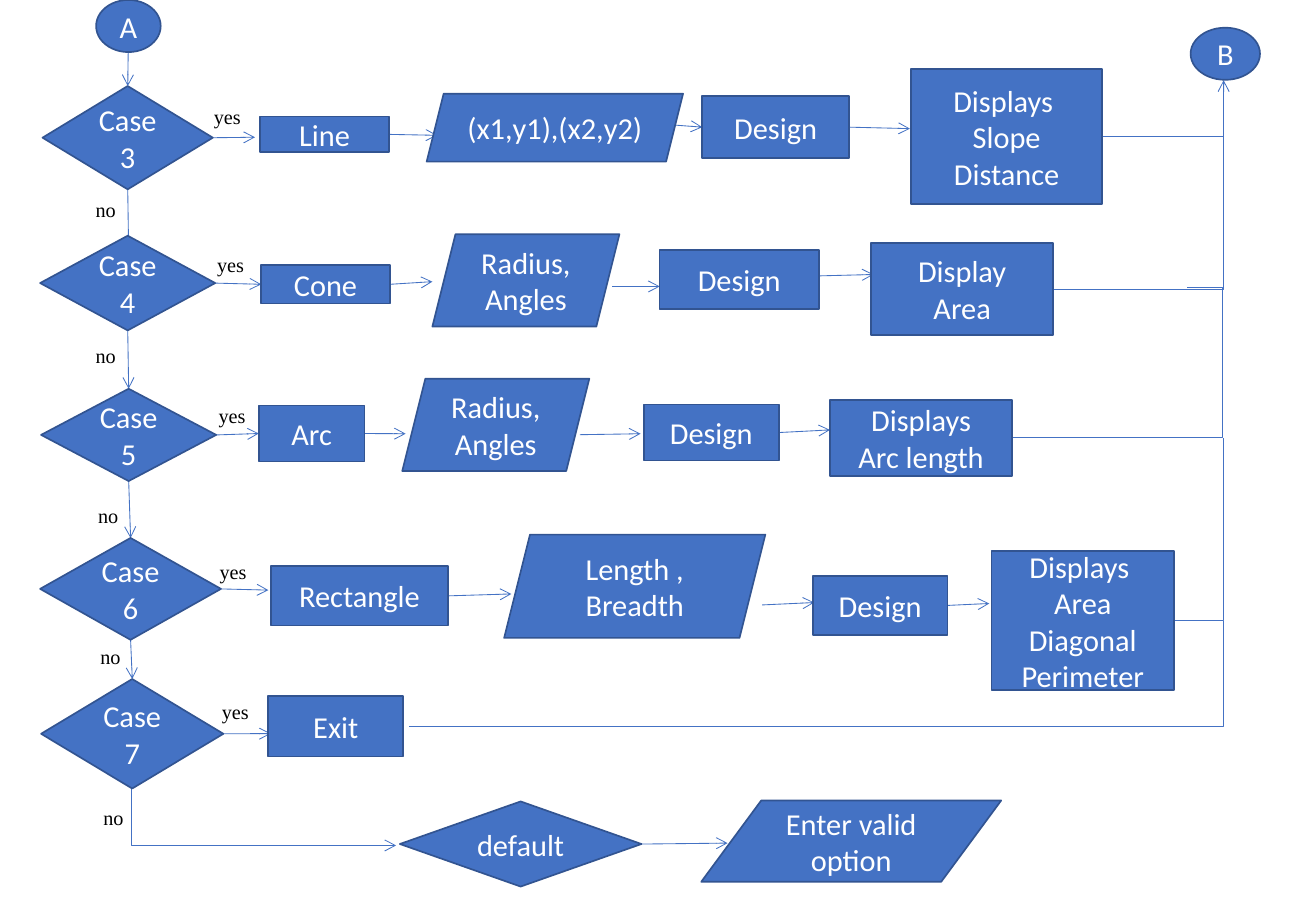
"""Build the second part of a flowchart for a menu of geometric shapes."""
import enum
from typing import NamedTuple, Optional, Union

import lxml.etree
import pptx
import pptx.dml.color
import pptx.enum.shapes
import pptx.enum.text
import pptx.oxml.ns
import pptx.shapes.autoshape
import pptx.slide
import pptx.text.text
import pptx.util

Cm = pptx.util.Cm
Kind = pptx.enum.shapes.MSO_AUTO_SHAPE_TYPE
Connector = pptx.enum.shapes.MSO_CONNECTOR
qn = pptx.oxml.ns.qn
COLORS = {"fill": "4472C4", "outline": "325491", "step": "FFFFFF", "answer": "000000"}


class Side(enum.IntEnum):
    TOP = 0
    LEFT = 1
    BOTTOM = 2
    RIGHT = 3


class Step(NamedTuple):
    kind: Kind
    text: str
    left: float
    top: float
    width: float
    height: float


class Point(NamedTuple):
    x: float
    y: float


class Port(NamedTuple):
    step: str
    side: Side


class Flow(NamedTuple):
    start: Union[Point, Port]
    end: Union[Point, Port]
    arrow: bool = True
    bend: Optional[float] = None


class Answer(NamedTuple):
    text: str
    left: float
    top: float


STEPS = {
    "case 3": Step(Kind.FLOWCHART_DECISION, "Case3", 0.89, 1.8, 3.56, 2.16),
    "line": Step(Kind.RECTANGLE, "Line", 5.44, 2.44, 2.69, 0.74),
    "design 3": Step(Kind.RECTANGLE, "Design", 14.68, 2.01, 3.07, 1.3),
    "display 3": Step(Kind.RECTANGLE, "Displays \vSlope\vDistance", 19.05, 1.45, 3.99, 2.82),
    "case 4": Step(Kind.FLOWCHART_DECISION, "Case 4", 0.84, 4.93, 3.66, 1.98),
    "cone": Step(Kind.RECTANGLE, "Cone", 5.46, 5.54, 2.69, 0.81),
    "design 4": Step(Kind.RECTANGLE, "Design", 13.79, 5.23, 3.33, 1.24),
    "display 4": Step(Kind.RECTANGLE, "Display\nArea", 18.21, 5.08, 3.81, 1.93),
    "case 5": Step(Kind.FLOWCHART_DECISION, "Case 5", 0.86, 8.13, 3.66, 1.93),
    "arc": Step(Kind.RECTANGLE, "Arc", 5.41, 8.48, 2.21, 1.17),
    "design 5": Step(Kind.RECTANGLE, "Design", 13.46, 8.46, 2.82, 1.17),
    "display 5": Step(Kind.RECTANGLE, "Displays\vArc length", 17.35, 8.36, 3.81, 1.6),
    "case 6": Step(Kind.FLOWCHART_DECISION, "Case6", 0.84, 11.25, 3.78, 2.13),
    "rectangle": Step(Kind.RECTANGLE, "Rectangle", 5.66, 11.84, 3.71, 1.24),
    "design 6": Step(Kind.RECTANGLE, "Design", 16.99, 12.04, 2.82, 1.24),
    "display 6": Step(Kind.RECTANGLE, "Displays \nArea\vDiagonal\vPerimeter",
                      20.73, 11.53, 3.81, 2.9),
    "case 7": Step(Kind.FLOWCHART_DECISION, "Case7", 0.86, 14.2, 3.81, 2.29),
    "exit": Step(Kind.RECTANGLE, "Exit", 5.61, 14.55, 2.82, 1.27),
    "input 3": Step(Kind.PARALLELOGRAM, "(x1,y1),(x2,y2)", 8.92, 1.96, 5.36, 1.42),
    "input 4": Step(Kind.PARALLELOGRAM, "Radius, Angles", 9.04, 4.9, 3.91, 1.93),
    "input 5": Step(Kind.PARALLELOGRAM, "Radius, Angles", 8.41, 7.92, 3.91, 1.93),
    "input 6": Step(Kind.PARALLELOGRAM, "Length , Breadth", 10.54, 11.18, 5.46, 2.16),
    "default": Step(Kind.FLOWCHART_DECISION, "default", 8.36, 16.76, 5.05, 1.78),
    "retry": Step(Kind.FLOWCHART_DATA, "Enter valid option", 14.66, 16.74, 6.27, 1.7),
    "entry": Step(Kind.OVAL, "A", 2.01, 0, 1.35, 1.09),
    "exit to": Step(Kind.OVAL, "B", 24.89, 0.58, 1.45, 1.09),
}

FLOWS = [
    Flow(Point(2.68, 1.09), Port("case 3", Side.TOP)),
    Flow(Port("case 3", Side.RIGHT), Point(5.33, 2.87)),
    Flow(Port("line", Side.RIGHT), Point(9.14, 2.83)),
    Flow(Point(13.51, 2.57), Port("design 3", Side.LEFT)),
    Flow(Port("design 3", Side.RIGHT), Point(19.02, 2.69)),
    Flow(Port("case 3", Side.BOTTOM), Point(2.69, 5.26)),
    Flow(Port("case 4", Side.RIGHT), Port("cone", Side.LEFT)),
    Flow(Port("cone", Side.RIGHT), Point(9.04, 5.89)),
    Flow(Point(12.8, 5.99), Point(13.79, 5.99)),
    Flow(Point(17.12, 5.77), Point(18.26, 5.74)),
    Flow(Port("case 4", Side.BOTTOM), Port("case 5", Side.TOP)),
    Flow(Port("case 5", Side.RIGHT), Port("arc", Side.LEFT)),
    Flow(Port("arc", Side.RIGHT), Point(8.48, 9.07)),
    Flow(Point(12.12, 9.09), Point(13.39, 9.07)),
    Flow(Port("design 5", Side.RIGHT), Point(17.35, 8.99)),
    Flow(Port("case 5", Side.BOTTOM), Port("case 6", Side.TOP)),
    Flow(Port("case 6", Side.RIGHT), Point(5.61, 12.34)),
    Flow(Port("rectangle", Side.RIGHT), Point(10.69, 12.42)),
    Flow(Point(15.93, 12.65), Point(17.02, 12.6)),
    Flow(Port("design 6", Side.RIGHT), Point(20.68, 12.62)),
    Flow(Port("case 6", Side.BOTTOM), Port("case 7", Side.TOP)),
    Flow(Port("case 7", Side.RIGHT), Point(5.66, 15.34)),
    Flow(Port("default", Side.RIGHT), Point(15.21, 17.63)),
    Flow(Point(2.74, 16), Point(8.28, 17.68), bend=0),
    Flow(Point(21.16, 9.14), Point(24.82, 6.02), arrow=False, bend=1.2),
    Flow(Point(23.04, 2.86), Point(25.58, 1.68), bend=1),
    Flow(Point(22.02, 6.05), Point(25.58, 2.77), arrow=False, bend=1),
    Flow(Point(24.54, 12.98), Point(25.58, 9.17), arrow=False, bend=1),
    Flow(Point(8.56, 15.19), Point(25.58, 12.98), arrow=False, bend=1),
]

ANSWERS = [
    Answer("yes", 4.22, 2.06), Answer("yes", 4.29, 5.16), Answer("yes", 4.32, 8.31),
    Answer("yes", 4.34, 11.58), Answer("yes", 4.39, 14.5),
    Answer("no", 1.75, 4.01), Answer("no", 1.75, 7.06), Answer("no", 1.8, 10.41),
    Answer("no", 1.85, 13.34), Answer("no", 1.91, 16.71),
]


def rgb(role: str) -> pptx.dml.color.RGBColor:
    """Return the colour of a role."""
    return pptx.dml.color.RGBColor.from_string(COLORS[role])


def write(frame: pptx.text.text.TextFrame, text: str, font: str, size: int, role: str) -> None:
    """Set the text of a frame and format its runs."""
    frame.text = text
    for paragraph in frame.paragraphs:
        if role == "step":
            paragraph.alignment = pptx.enum.text.PP_ALIGN.CENTER
        for run in paragraph.runs:
            run.font.name = font
            run.font.size = pptx.util.Pt(size)
            run.font.color.rgb = rgb(role)


def draw_step(slide: pptx.slide.Slide, step: Step) -> pptx.shapes.autoshape.Shape:
    """Draw one step of the flowchart."""
    shape = slide.shapes.add_shape(step.kind, Cm(step.left), Cm(step.top),
                                   Cm(step.width), Cm(step.height))
    shape.shadow.inherit = False
    shape.fill.solid()
    shape.fill.fore_color.rgb = rgb("fill")
    shape.line.color.rgb = rgb("outline")
    shape.line.width = pptx.util.Pt(1)
    write(shape.text_frame, step.text, "Calibri", 18, "step")
    return shape


def draw_flow(slide: pptx.slide.Slide, flow: Flow, steps: dict) -> None:
    """Draw one connector behind the steps, joined where it has ports."""
    start, end = (Point(0, 0) if isinstance(place, Port) else place
                  for place in (flow.start, flow.end))
    route = Connector.STRAIGHT if flow.bend is None else Connector.ELBOW
    line = slide.shapes.add_connector(route, Cm(start.x), Cm(start.y), Cm(end.x), Cm(end.y))
    if isinstance(flow.start, Port):
        line.begin_connect(steps[flow.start.step], int(flow.start.side))
    if isinstance(flow.end, Port):
        line.end_connect(steps[flow.end.step], int(flow.end.side))
    line.line.color.rgb = rgb("fill")
    line.line.width = pptx.util.Pt(0.5)
    properties = line.element.spPr
    if flow.arrow:
        lxml.etree.SubElement(properties.find(qn("a:ln")), qn("a:tailEnd"), type="arrow")
    if flow.bend is not None:
        guides = properties.find(qn("a:prstGeom")).find(qn("a:avLst"))
        lxml.etree.SubElement(guides, qn("a:gd"), name="adj1",
                              fmla=f"val {round(flow.bend * 100000)}")
    lxml.etree.SubElement(properties, qn("a:effectLst"))
    steps["case 3"].element.addprevious(line.element)


def draw_answer(slide: pptx.slide.Slide, answer: Answer) -> None:
    """Label one branch of a decision."""
    width = 1.55 if answer.text == "yes" else 0.94
    label = slide.shapes.add_textbox(Cm(answer.left), Cm(answer.top), Cm(width), Cm(0.76))
    label.text_frame.word_wrap = answer.text == "yes"
    label.text_frame.auto_size = pptx.enum.text.MSO_AUTO_SIZE.SHAPE_TO_FIT_TEXT
    write(label.text_frame, answer.text, "Times New Roman", 12, "answer")


def main() -> None:
    """Build and save the slide."""
    deck = pptx.Presentation()
    deck.slide_width, deck.slide_height = Cm(27.51), Cm(19.05)
    slide = deck.slides.add_slide(deck.slide_layouts[6])
    steps = {name: draw_step(slide, step) for name, step in STEPS.items()}
    for flow in FLOWS:
        draw_flow(slide, flow, steps)
    for answer in ANSWERS:
        draw_answer(slide, answer)
    deck.save("out.pptx")


if __name__ == "__main__":
    main()
